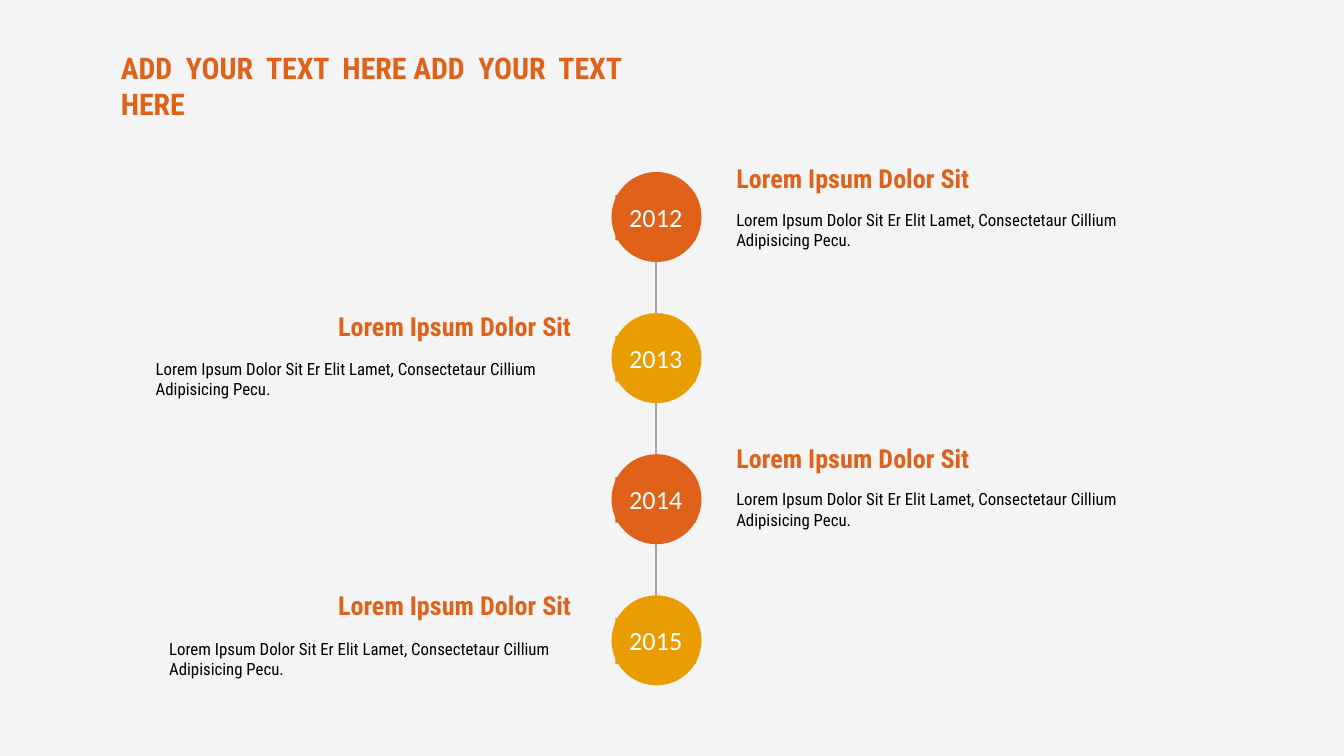
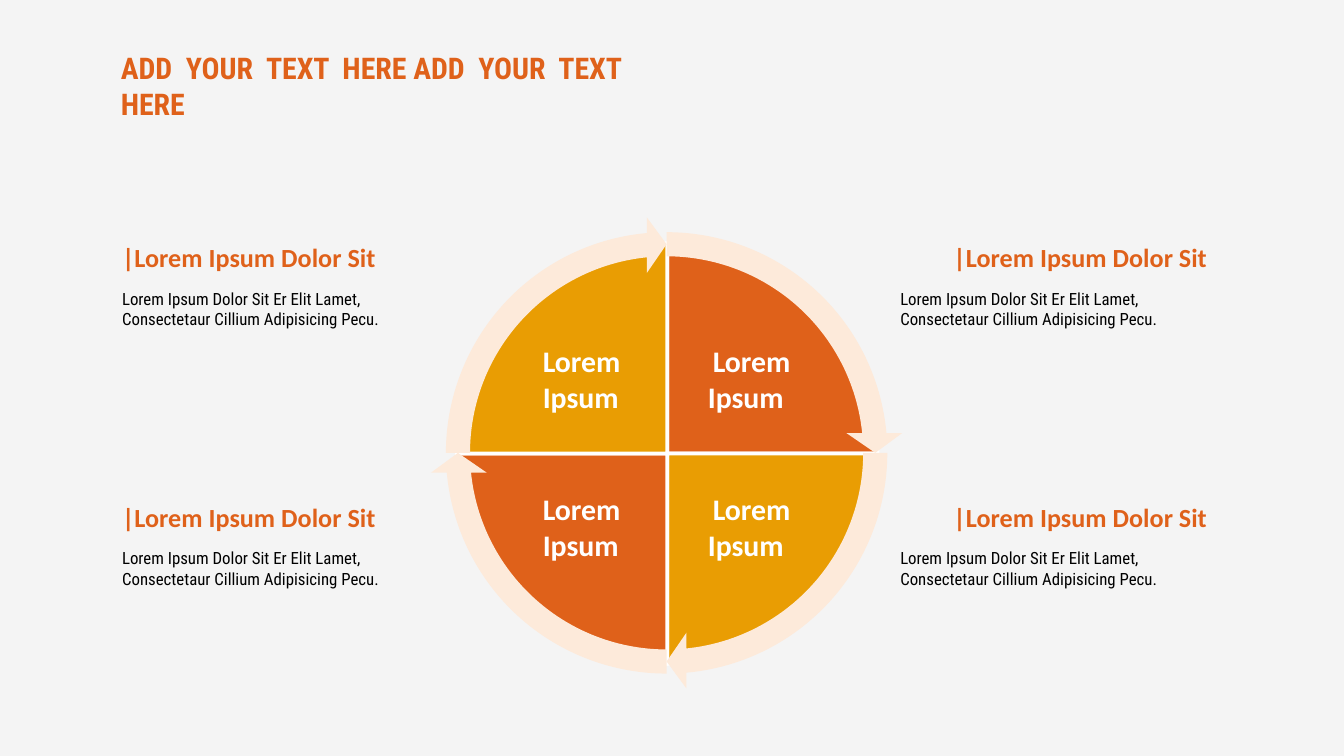
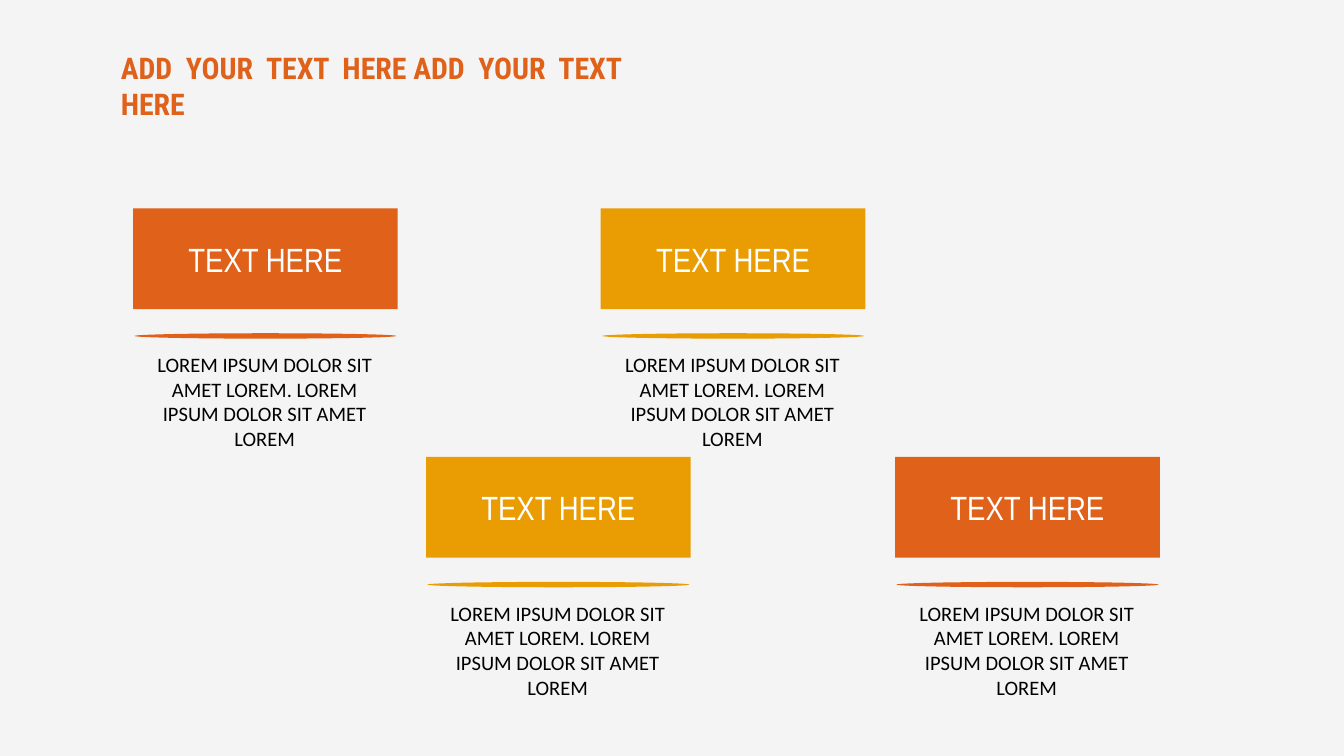
from pptx import Presentation
from pptx.dml.color import RGBColor
from pptx.enum.shapes import MSO_CONNECTOR, MSO_SHAPE
from pptx.enum.text import MSO_ANCHOR, MSO_AUTO_SIZE, PP_ALIGN
from pptx.oxml.ns import qn
from pptx.util import Inches, Pt

ORANGE = RGBColor(0xDF, 0x61, 0x1A)
GOLD = RGBColor(0xE9, 0x9D, 0x03)
PEACH = RGBColor(0xFD, 0xEA, 0xDA)
GREY = RGBColor(0xA6, 0xA6, 0xA6)
PALE_GREY = RGBColor(0xF4, 0xF4, 0xF4)
WHITE = RGBColor(0xFF, 0xFF, 0xFF)
BLACK = RGBColor(0x00, 0x00, 0x00)

CONDENSED = "Roboto Condensed"
CALIBRI = "Calibri"
NARROW = "Arial Narrow"

TITLE = "ADD  YOUR  TEXT  HERE ADD  YOUR  TEXT  HERE"
HEADING = "Lorem Ipsum Dolor Sit"
BODY = "Lorem Ipsum Dolor Sit Er Elit Lamet, Consectetaur Cillium Adipisicing Pecu."
CAPTION = "LOREM IPSUM DOLOR SIT AMET LOREM. LOREM IPSUM DOLOR SIT AMET LOREM"

# Angles of pies and circular arrows, in the unit of their adjustments
QUARTER_TURN = 54
FULL_TURN = 4 * QUARTER_TURN


def write(shape, text, size, font, color, align=PP_ALIGN.LEFT, bold=False,
          wrap=True, grow=True, tight=False, anchor=MSO_ANCHOR.TOP):
    """Put styled text in a shape; tight gives it the narrow margins."""
    frame = shape.text_frame
    frame.text = text
    frame.word_wrap = wrap
    frame.auto_size = MSO_AUTO_SIZE.SHAPE_TO_FIT_TEXT if grow else MSO_AUTO_SIZE.NONE
    frame.vertical_anchor = anchor
    if tight:
        frame.margin_left = frame.margin_right = Inches(0.07)
        frame.margin_top = frame.margin_bottom = Inches(0.04)
    for para in frame.paragraphs:
        para.alignment = align
        for span in para.runs:
            span.font.size = Pt(size)
            span.font.name = font
            span.font.bold = bold
            span.font.color.rgb = color


def add_text(page, left, top, width, height, *text_style, **options):
    box = page.shapes.add_textbox(Inches(left), Inches(top), Inches(width), Inches(height))
    write(box, *text_style, **options)


def add_filled(shapes, kind, left, top, width, height, color):
    """Add a preset shape without outline or shadow."""
    shape = shapes.add_shape(kind, Inches(left), Inches(top), Inches(width), Inches(height))
    shape.shadow.inherit = False
    shape.fill.solid()
    shape.fill.fore_color.rgb = color
    shape.line.fill.background()
    return shape


def add_page(deck):
    """Add a blank slide with the shared title."""
    page = deck.slides.add_slide(deck.slide_layouts[6])
    add_text(page, 0.83, 0.33, 4.14, 0.35, TITLE, 16, CONDENSED, ORANGE,
             bold=True, tight=True)
    return page


def add_year(page, top, year, color):
    marker = page.shapes.add_group_shape()
    add_filled(marker.shapes, MSO_SHAPE.OVAL, 4.55, top, 0.67, 0.67, color)
    label = add_filled(marker.shapes, MSO_SHAPE.RECTANGLE, 4.58, top + 0.17, 0.6, 0.34, color)
    write(label, year, 14, CALIBRI, WHITE, PP_ALIGN.CENTER, wrap=False)


def add_timeline(page):
    axis = page.shapes.add_connector(
        MSO_CONNECTOR.STRAIGHT, Inches(4.88), Inches(1.67), Inches(4.88), Inches(4.82))
    axis.line.color.rgb = GREY
    axis.line.width = Pt(0.75)
    properties = axis._element.spPr
    properties.append(properties.makeelement(qn("a:effectLst"), {}))

    for index in range(4):
        add_year(page, 1.28 + 1.05 * index, str(2012 + index), (ORANGE, GOLD)[index % 2])

    events = [
        (5.38, 1.16, PP_ALIGN.LEFT, 5.38, 1.51),
        (5.38, 3.24, PP_ALIGN.LEFT, 5.38, 3.59),
        (1.16, 2.26, PP_ALIGN.RIGHT, 1.06, 2.62),
        (1.16, 4.34, PP_ALIGN.RIGHT, 1.16, 4.7),
    ]
    for left, top, align, body_left, body_top in events:
        add_text(page, left, top, 3.19, 0.34, HEADING, 14, CONDENSED, ORANGE, align, bold=True)
        add_text(page, body_left, body_top, left + 3.19 - body_left, 0.25,
                 BODY, 9, CONDENSED, BLACK)


def add_cycle(page):
    starts = [(3 + index) * QUARTER_TURN % FULL_TURN for index in range(4)]
    for index, start in enumerate(starts):
        sector = add_filled(page.shapes, MSO_SHAPE.PIE, 3.4, 1.81, 3.13, 3.13,
                            (ORANGE, GOLD)[index % 2])
        sector.adjustments[0] = start
        sector.adjustments[1] = (start + QUARTER_TURN) % FULL_TURN
        sector.line.color.rgb = WHITE
        sector.line.width = Pt(2)
    for start in starts:
        arrow = add_filled(page.shapes, MSO_SHAPE.CIRCULAR_ARROW, 3.2, 1.61, 3.52, 3.52, PEACH)
        for position, value in enumerate((0.051, 3.275, start + 50.725, start, 0.059)):
            arrow.adjustments[position] = value

    sides = [
        (3.94, "Lorem\nIpsum", 0.81, PP_ALIGN.LEFT),
        (5.16, "Lorem\nIpsum ", 6.6, PP_ALIGN.RIGHT),
    ]
    for label_left, label, note_left, align in sides:
        for label_top, note_top in ((2.5, 1.75), (3.6, 3.68)):
            add_text(page, label_left, label_top, 0.82, 0.64, label, 16, CALIBRI, WHITE,
                     align, bold=True, wrap=False)
            add_text(page, note_left, note_top, 2.48, 0.34, "|" + HEADING, 14, CALIBRI,
                     ORANGE, align, bold=True)
            add_text(page, note_left, note_top + 0.35, 2.48, 0.4, BODY, 9, CONDENSED, BLACK)


def add_card(page, left, top, color):
    banner = add_filled(page.shapes, MSO_SHAPE.RECTANGLE, left, top, 1.97, 0.75, color)
    write(banner, "TEXT HERE", 18, NARROW, WHITE, PP_ALIGN.CENTER,
          grow=False, tight=True, anchor=MSO_ANCHOR.MIDDLE)
    add_filled(page.shapes, MSO_SHAPE.OVAL, left + 0.01, top + 0.93, 1.95, 0.04, color)
    add_text(page, left + 0.06, top + 1.03, 1.84, 0.81, CAPTION, 11, CALIBRI, BLACK,
             PP_ALIGN.CENTER, grow=False, tight=True)


def main():
    deck = Presentation()
    deck.slide_width = Inches(10)
    deck.slide_height = Inches(10 * 9 / 16)
    backdrop = deck.slide_master.background.fill
    backdrop.solid()
    backdrop.fore_color.rgb = PALE_GREY

    add_timeline(add_page(deck))
    add_cycle(add_page(deck))

    cards_page = add_page(deck)
    for left, top, color in ((0.99, 1.55, ORANGE), (4.47, 1.55, GOLD),
                             (3.17, 3.4, GOLD), (6.66, 3.4, ORANGE)):
        add_card(cards_page, left, top, color)

    deck.save("out.pptx")


if __name__ == "__main__":
    main()
